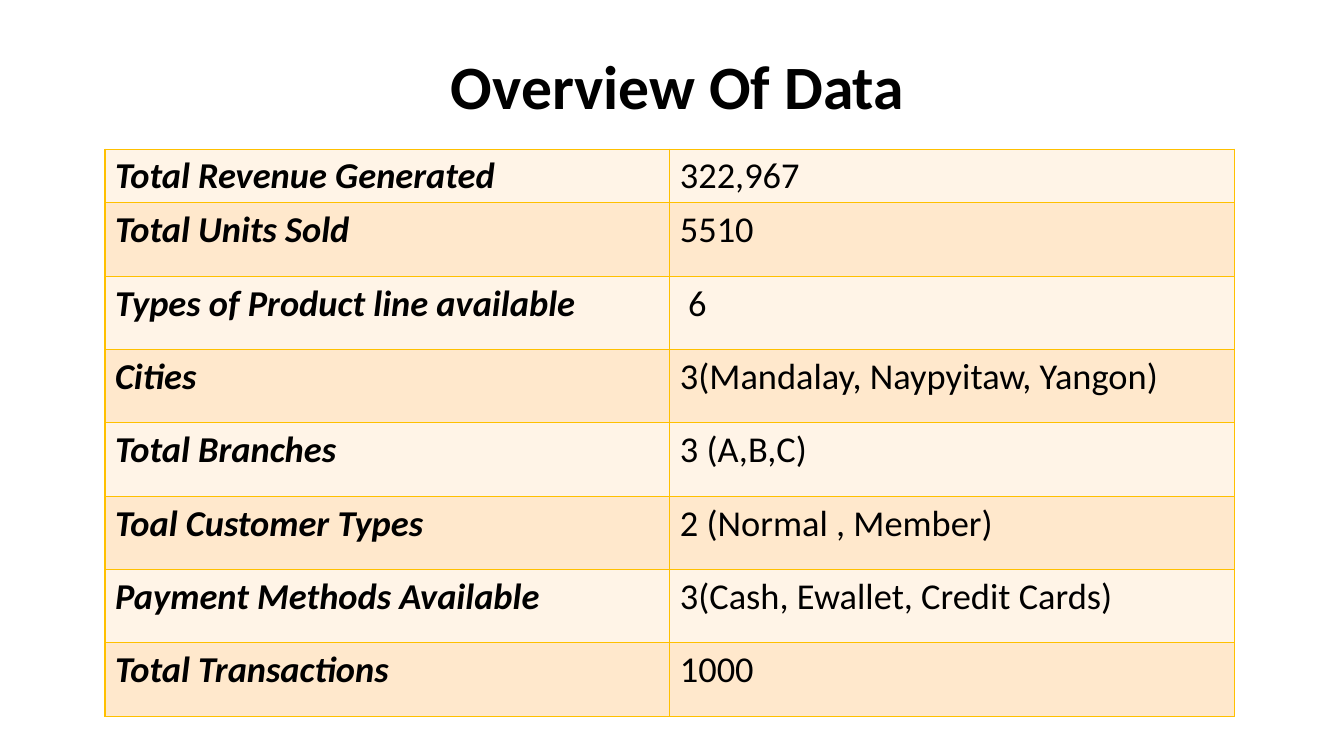
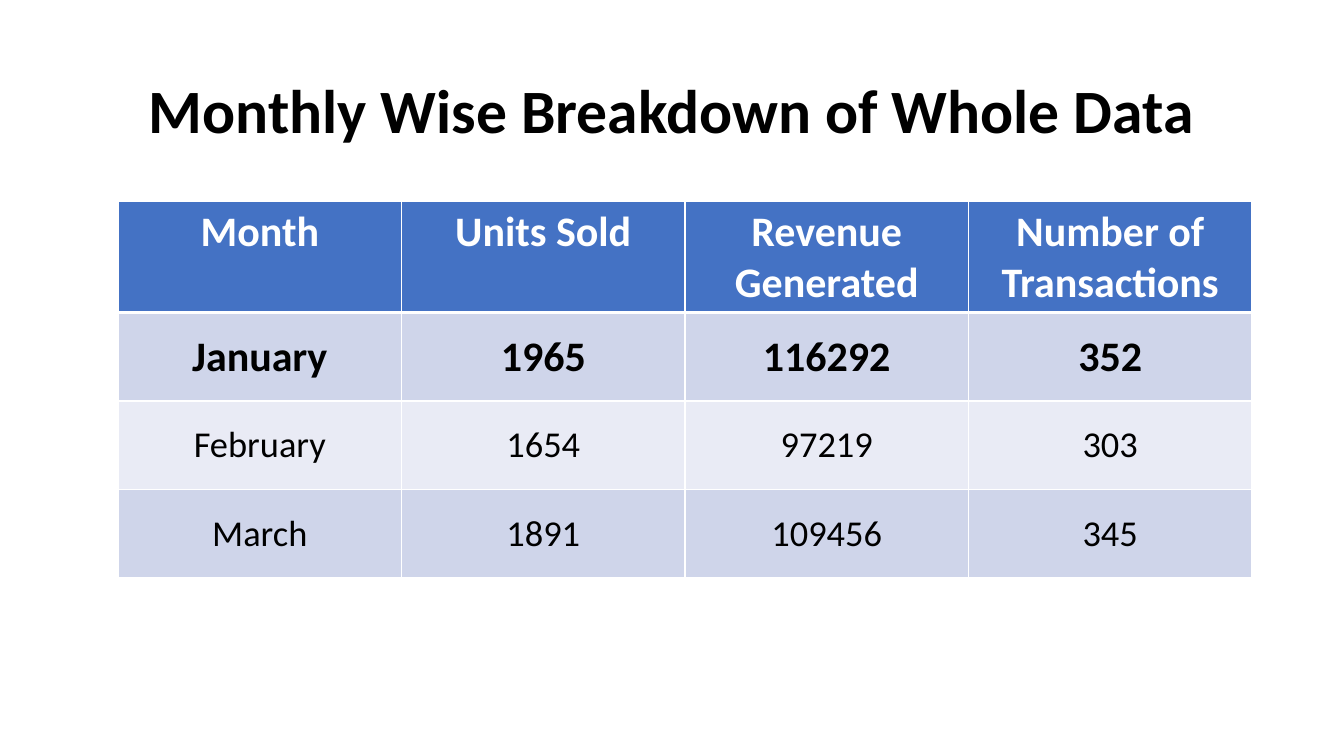
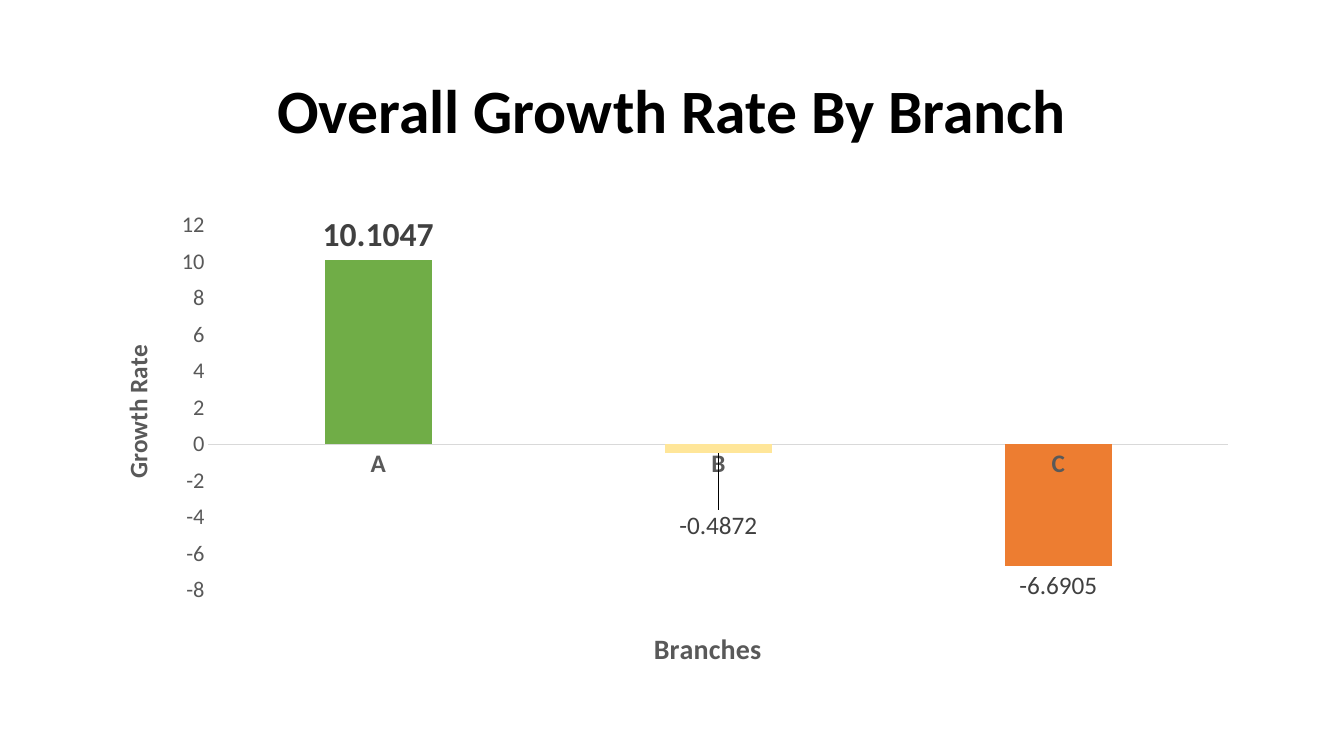
from lxml import etree
from pptx import Presentation
from pptx.chart.data import CategoryChartData
from pptx.dml.color import RGBColor
from pptx.enum.chart import XL_CHART_TYPE, XL_LABEL_POSITION, XL_TICK_MARK
from pptx.enum.text import MSO_ANCHOR, PP_ALIGN
from pptx.oxml import parse_xml
from pptx.oxml.ns import nsdecls, qn
from pptx.util import Pt

COLUMN = XL_CHART_TYPE.COLUMN_CLUSTERED
OUTSIDE_END = XL_LABEL_POSITION.OUTSIDE_END
NO_TICK = XL_TICK_MARK.NONE
TOP, MIDDLE = MSO_ANCHOR.TOP, MSO_ANCHOR.MIDDLE
LEFT, CENTER = PP_ALIGN.LEFT, PP_ALIGN.CENTER

FONT = "Calibri"
COLORS = {
    "black": "000000", "white": "FFFFFF", "gold": "FFC000",
    "cream": "FFF4E7", "peach": "FFE8CC",
    "blue": "4472C4", "blue_band": "CFD5EA", "pale_band": "E9EBF5",
    "axis_text": "595959", "label_text": "404040", "axis_line": "D9D9D9",
    "green": "70AD47", "yellow": "FFE699", "orange": "ED7D31",
}


def set_font(font, color, **formats):
    font.name = FONT
    font.color.rgb = RGBColor.from_string(COLORS[color])
    for name, value in formats.items():
        setattr(font, name, value)


def add_grid(page, frame, rows, row_heights, border, style_cell, header_line=1):
    """Add a bordered table; style_cell gives fill, alignment, anchor, font."""
    table = page.shapes.add_table(
        len(rows), len(rows[0]), *[Pt(value) for value in frame]).table
    for row, height in zip(table.rows, row_heights):
        row.height = Pt(height)
    for r, texts in enumerate(rows):
        for c, text in enumerate(texts):
            cell = table.cell(r, c)
            fill, align, anchor, formats = style_cell(r, c)
            widths = {"L": 1, "R": 1, "T": header_line if r == 1 else 1,
                      "B": header_line if r == 0 else 1}
            properties = cell._tc.get_or_add_tcPr()
            for side, width in widths.items():
                line = etree.SubElement(properties, qn(f"a:ln{side}"), w=str(Pt(width)))
                paint = etree.SubElement(line, qn("a:solidFill"))
                etree.SubElement(paint, qn("a:srgbClr"), val=COLORS[border])
            cell.fill.solid()
            cell.fill.fore_color.rgb = RGBColor.from_string(COLORS[fill])
            cell.vertical_anchor = anchor
            para = cell.text_frame.paragraphs[0]
            para.alignment = align
            span = para.add_run()
            span.text = text
            set_font(span.font, **formats)


deck = Presentation()
deck.slide_width, deck.slide_height = Pt(960), Pt(540)

# Pages and their titles
titles = [
    ("Overview Of Data", (86.4, 28.8, 795.6, 69.8)),
    ("Monthly Wise Breakdown of Whole Data", (66, 28.8, 828, 104.4)),
    ("Overall Growth Rate By Branch", (66, 28.8, 828, 104.4)),
]
pages = []
for title, frame in titles:
    page = deck.slides.add_slide(deck.slide_layouts[6])
    box = page.shapes.add_textbox(*[Pt(value) for value in frame])
    box.text_frame.word_wrap = True
    box.text_frame.vertical_anchor = MIDDLE
    para = box.text_frame.paragraphs[0]
    para.alignment = CENTER
    para.line_spacing = 0.9
    span = para.add_run()
    span.text = title
    set_font(span.font, "black", size=Pt(44), bold=True)
    pages.append(page)
overview_page, monthly_page, growth_page = pages

# Overview table
overview_rows = [
    ("Total Revenue Generated", "322,967"),
    ("Total Units Sold", "5510"),
    ("Types of Product line available", " 6"),
    ("Cities", "3(Mandalay, Naypyitaw, Yangon)"),
    ("Total Branches", "3 (A,B,C)"),
    ("Toal Customer Types", "2 (Normal , Member)"),
    ("Payment Methods Available", "3(Cash, Ewallet, Credit Cards)"),
    ("Total Transactions", "1000"),
]
add_grid(
    overview_page, (75, 106.5, 807, 405), overview_rows, [38.4] + [52.4] * 7, "gold",
    lambda r, c: (("cream", "peach")[r % 2], LEFT, TOP,
                  {"color": "black", "size": Pt(26), "bold": c == 0, "italic": c == 0}))

# Monthly table: header and best month are large and bold
monthly_rows = [
    ("Month", "Units Sold", "Revenue Generated", "Number of Transactions"),
    ("January", "1965", "116292", "352"),
    ("February", "1654", "97219", "303"),
    ("March", "1891", "109456", "345"),
]
monthly_fills = ["blue", "blue_band", "pale_band", "blue_band"]
add_grid(
    monthly_page, (84.4, 144, 810, 269), monthly_rows, [79.2] + [63.2] * 3, "white",
    lambda r, c: (monthly_fills[r], CENTER, MIDDLE if r else TOP,
                  {"color": "black" if r else "white",
                   "size": Pt(30 if r < 2 else 26), "bold": r < 2}),
    header_line=3)

# Growth chart
growth_data = CategoryChartData()
growth_data.categories = ["A", "B", "C"]
growth_data.add_series("Series 1", [10.1047, -0.4872, -6.6905])
chart = growth_page.shapes.add_chart(
    COLUMN, Pt(66), Pt(144), Pt(828), Pt(342.7), growth_data).chart
chart.has_legend = chart.has_title = False
set_font(chart.font, "black", size=Pt(10))
plot = chart.plots[0]
plot.gap_width, plot.overlap, plot.vary_by_categories = 219, -27, False

# Axes
branches, rate = chart.category_axis, chart.value_axis
rate.minimum_scale, rate.maximum_scale, rate.major_unit = -8, 12, 2
for axis, title, title_size, tick_size, bold in [
        (branches, "Branches", 20, 18, True), (rate, "Growth Rate", 18, 16, False)]:
    axis.has_major_gridlines = False
    axis.major_tick_mark = axis.minor_tick_mark = NO_TICK
    set_font(axis.tick_labels.font, "axis_text", size=Pt(tick_size), bold=bold)
    span = axis.axis_title.text_frame.paragraphs[0].add_run()
    span.text = title
    set_font(span.font, "axis_text", size=Pt(title_size), bold=True)
branches.format.line.color.rgb = RGBColor.from_string(COLORS["axis_line"])
branches.format.line.width = Pt(0.75)
rate.format.line.fill.background()

# Bars and their labels
series = plot.series[0]
series.invert_if_negative = False
series.format.fill.solid()
series.format.fill.fore_color.rgb = RGBColor.from_string(COLORS["green"])
labels = series.data_labels
labels.show_value, labels.position = True, OUTSIDE_END
set_font(labels.font, "label_text", size=Pt(18))
for index, color in [(1, "yellow"), (2, "orange")]:
    fill = series.points[index].format.fill
    fill.solid()
    fill.fore_color.rgb = RGBColor.from_string(COLORS[color])
for index, size, bold in [(0, 24, True), (1, 18, False)]:
    label = series.points[index].data_label
    set_font(label.font, "label_text", size=Pt(size), bold=bold)
    label.position = OUTSIDE_END

# Manual places, as shares of the chart: plot, axis titles, lowered label of B
plot_area = chart._chartSpace.chart.plotArea
lowered_label = labels._element.findall(qn("c:dLbl"))[1]
layouts = [
    (plot_area, 0, {"layoutTarget": "inner", "xMode": "edge", "yMode": "edge",
                    "x": 0.1, "y": 0.05, "w": 0.88, "h": 0.76}),
    (branches.axis_title._element, 1,
     {"xMode": "edge", "yMode": "edge", "x": 0.48, "y": 0.88}),
    (rate.axis_title._element, 1,
     {"xMode": "edge", "yMode": "edge", "x": 0.02, "y": 0.29}),
    (lowered_label, 1, {"x": 0, "y": 0.11}),
]
for parent, position, values in layouts:
    for old_layout in parent.findall(qn("c:layout")):
        parent.remove(old_layout)
    settings = "".join(f'<c:{name} val="{value}"/>' for name, value in values.items())
    parent.insert(position, parse_xml(
        f'<c:layout {nsdecls("c")}><c:manualLayout>{settings}</c:manualLayout></c:layout>'))

deck.save("out.pptx")
